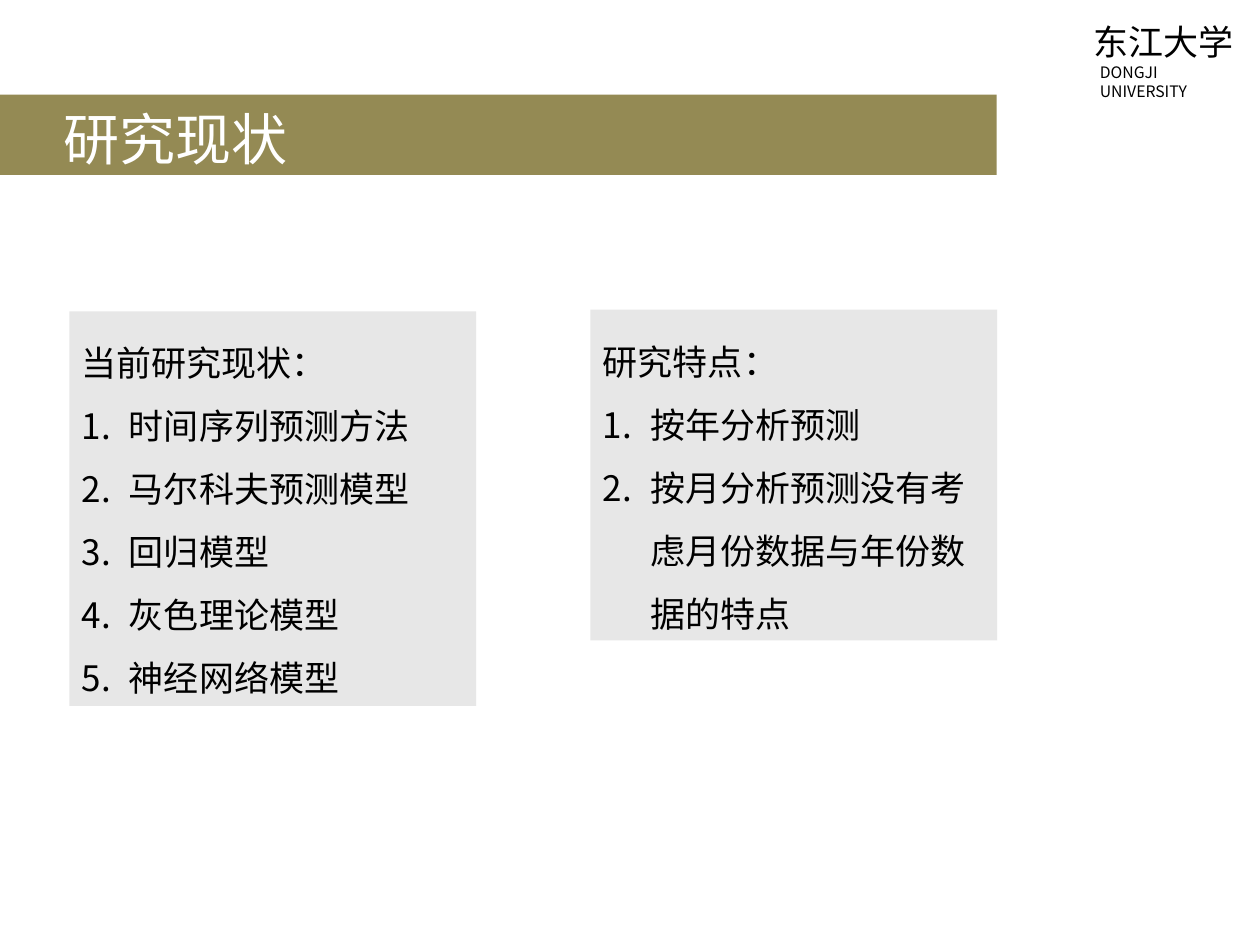
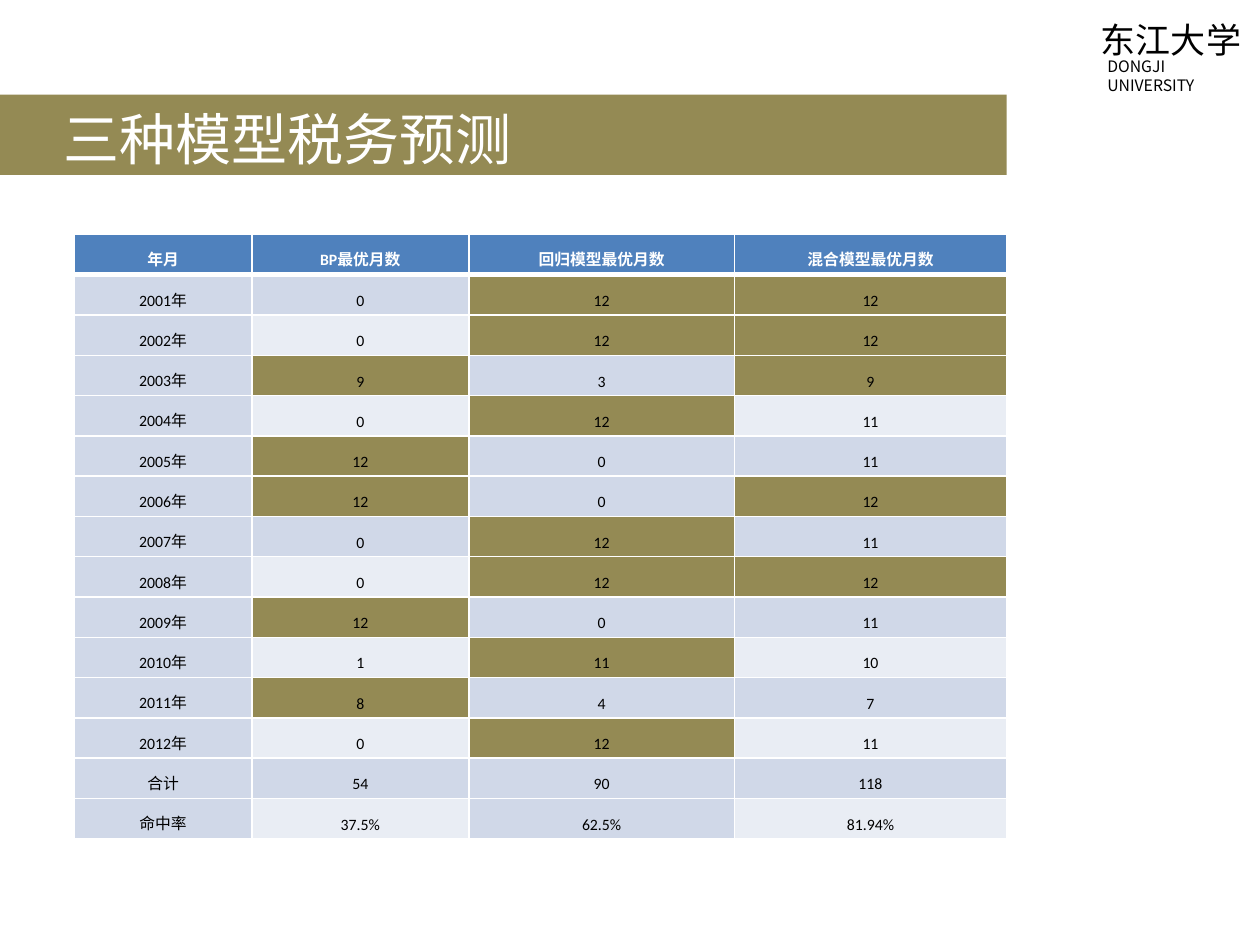
from lxml.etree import SubElement
from pptx import Presentation
from pptx.dml.color import RGBColor
from pptx.enum.shapes import MSO_SHAPE
from pptx.enum.text import MSO_ANCHOR, PP_ALIGN
from pptx.oxml.ns import qn
from pptx.util import Pt

OLIVE = RGBColor(0x94, 0x8A, 0x54)
GREY = RGBColor(0xB2, 0xB2, 0xB2)
BLUE = RGBColor(0x4F, 0x81, 0xBD)
BAND_DARK = RGBColor(0xD0, 0xD8, 0xE8)
BAND_LIGHT = RGBColor(0xE9, 0xED, 0xF4)
WHITE = RGBColor(0xFF, 0xFF, 0xFF)
BLACK = RGBColor(0, 0, 0)


class Deck:
    chinese = "Noto Sans CJK SC"
    crest = "Noto Sans CJK JP"
    numbers = "Calibri"

    def __init__(self):
        self.presentation = Presentation()
        self.presentation.slide_width = Pt(720)
        self.presentation.slide_height = Pt(540)
        self.slide = None

    def style(self, paragraph, size, leading, color=BLACK, latin=chinese,
              asian=chinese, align=PP_ALIGN.LEFT, bold=False):
        paragraph.alignment = align
        paragraph.line_spacing = Pt(leading)
        font = paragraph.font
        font.size, font.bold, font.name = Pt(size), bold, latin
        font.color.rgb = color
        properties = paragraph._p.pPr.find(qn("a:defRPr"))
        SubElement(properties, qn("a:ea"), typeface=asian)

    def box(self, left, top, width, height, color):
        panel = self.slide.shapes.add_shape(
            MSO_SHAPE.RECTANGLE, Pt(left), Pt(top), Pt(width), Pt(height))
        panel.shadow.inherit = False
        panel.fill.solid()
        panel.fill.fore_color.rgb = color
        panel.line.fill.background()
        panel.text_frame.word_wrap = True
        return panel

    def label(self, text, left, top, width, height, size, inset, align):
        frame = self.slide.shapes.add_textbox(
            Pt(left), Pt(top), Pt(width), Pt(height)).text_frame
        frame.word_wrap = True
        frame.margin_top = Pt(inset)
        frame.text = text
        self.style(frame.paragraphs[0], size, size * 1.2, latin=self.crest,
                   asian=self.crest, align=align)

    def start(self, title, band_width, name_box, motto_box):
        self.slide = self.presentation.slides.add_slide(
            self.presentation.slide_layouts[6])
        band = self.box(0, 54, band_width, 46, OLIVE)
        frame = band.text_frame
        frame.margin_left = Pt(36)
        frame.margin_top = frame.margin_bottom = 0
        frame.vertical_anchor = MSO_ANCHOR.MIDDLE
        frame.text = title
        self.style(frame.paragraphs[0], 32, 42, WHITE)
        self.label("东江大学", *name_box, 20, 5, PP_ALIGN.JUSTIFY)
        self.label("DONGJI UNIVERSITY", *motto_box, 9, 3.6, PP_ALIGN.LEFT)

    def card(self, heading, points, left, top, width, height):
        panel = self.box(left, top, width, height, GREY)
        tint = panel.fill._xPr.find(qn("a:solidFill"))[0]
        SubElement(tint, qn("a:alpha"), val="30000")
        frame = panel.text_frame
        frame.vertical_anchor = MSO_ANCHOR.TOP
        frame.margin_top = Pt(5.4)
        frame.text = "\n".join([heading, *points])
        for paragraph in frame.paragraphs:
            if paragraph.text != heading:
                properties = paragraph._p.get_or_add_pPr()
                properties.set("marL", str(Pt(27)))
                properties.set("indent", str(-Pt(27)))
                SubElement(properties, qn("a:buFont"), typeface=self.chinese)
                SubElement(properties, qn("a:buAutoNum"), type="arabicPeriod")
            self.style(paragraph, 20, 36)

    def borders(self, cell, widths):
        properties = cell._tc.get_or_add_tcPr()
        for side, width in widths.items():
            line = SubElement(properties, qn(f"a:ln{side}"), w=str(Pt(width)))
            fill = SubElement(line, qn("a:solidFill"))
            SubElement(fill, qn("a:srgbClr"), val=str(WHITE))

    def table(self, rows, left, top, column_widths, row_height, fill_for):
        grid = self.slide.shapes.add_table(
            len(rows), len(column_widths), Pt(left), Pt(top),
            Pt(sum(column_widths)), Pt(row_height * len(rows))).table
        for column, width in zip(grid.columns, column_widths):
            column.width = Pt(width)
        for r, values in enumerate(rows):
            grid.rows[r].height = Pt(row_height)
            header = r == 0
            for c, value in enumerate(values):
                cell = grid.cell(r, c)
                self.borders(cell, {"L": 1, "R": 1, "T": 3 if r == 1 else 1,
                                    "B": 3 if header else 1})
                cell.fill.solid()
                cell.fill.fore_color.rgb = fill_for(r, c)
                cell.vertical_anchor = MSO_ANCHOR.MIDDLE
                cell.margin_left = cell.margin_right = Pt(5)
                cell.margin_top = cell.margin_bottom = 0
                cell.text = str(value)
                self.style(cell.text_frame.paragraphs[0], 9, 18,
                           WHITE if header else BLACK, latin=self.numbers,
                           align=PP_ALIGN.CENTER, bold=header)


deck = Deck()

deck.start("研究现状", 569.5, (617.8, 6.5, 99.4, 28), (621.4, 32.4, 92.9, 16))
deck.card("当前研究现状：",
          ["时间序列预测方法", "马尔科夫预测模型", "回归模型",
           "灰色理论模型", "神经网络模型"],
          39.6, 178, 232.5, 225.4)
deck.card("研究特点：",
          ["按年分析预测", "按月分析预测没有考虑月份数据与年份数据的特点"],
          337.4, 177, 232.5, 189)

best_months = [
    (0, 12, 12), (0, 12, 12), (9, 3, 9), (0, 12, 11),
    (12, 0, 11), (12, 0, 12), (0, 12, 11), (0, 12, 12),
    (12, 0, 11), (1, 11, 10), (8, 4, 7), (0, 12, 11),
]
forecast = [
    ("年月", "BP最优月数", "回归模型最优月数", "混合模型最优月数"),
    *[(f"{year}年", *months) for year, months in enumerate(best_months, 2001)],
    ("合计", 54, 90, 118),
    ("命中率", "37.5%", "62.5%", "81.94%"),
]


def forecast_fill(row, column):
    if row == 0:
        return BLUE
    if column and row <= len(best_months):
        months = best_months[row - 1]
        if months[column - 1] == max(months):
            return OLIVE
    return BAND_DARK if row % 2 or column in (0, 2) else BAND_LIGHT


deck.start("三种模型税务预测", 575.3, (622, 5.8, 95.2, 25), (625.7, 28.8, 88.6, 14.4))
deck.table(forecast, 42.5, 134, (101.4, 124, 151.8, 155.5), 23.04, forecast_fill)

deck.presentation.save("out.pptx")
